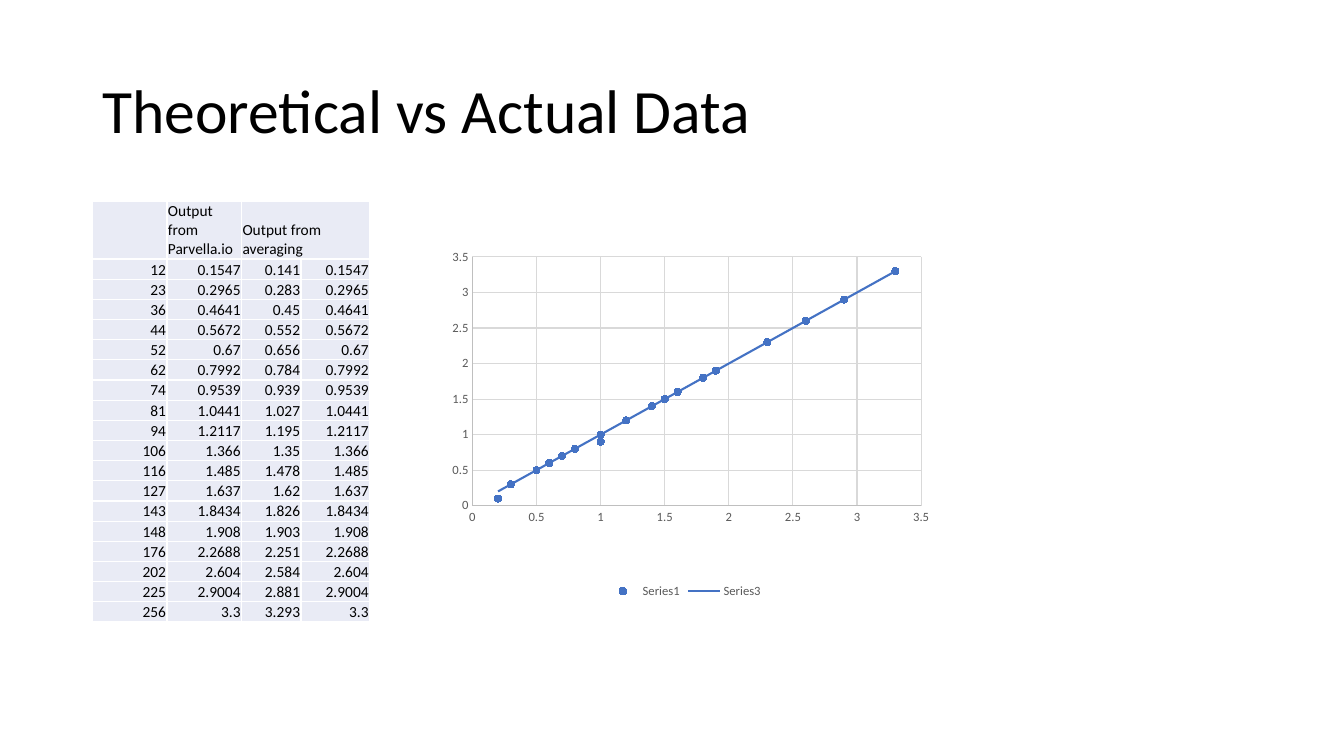
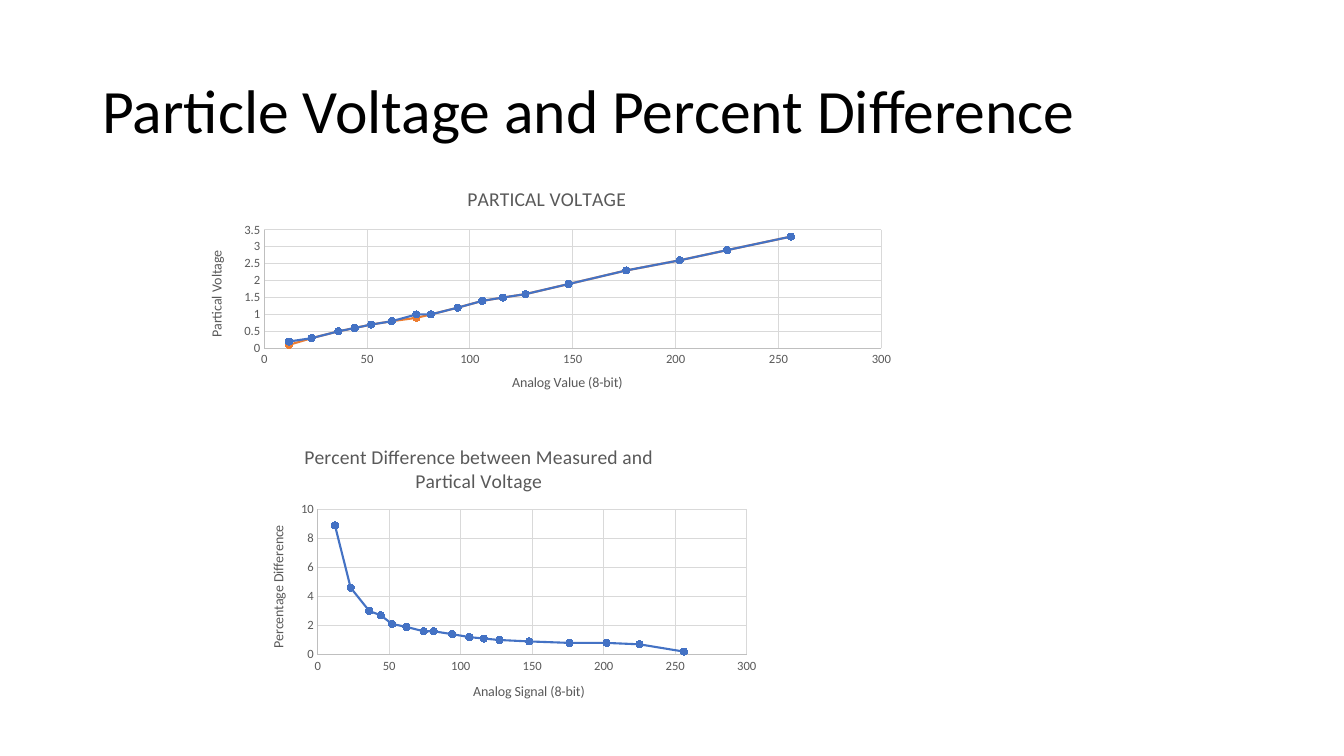
from dataclasses import dataclass

from lxml.etree import SubElement
from pptx import Presentation
from pptx.chart.data import XyChartData
from pptx.dml.color import RGBColor
from pptx.enum.chart import XL_CHART_TYPE as ChartType
from pptx.enum.chart import XL_LEGEND_POSITION as LegendPosition
from pptx.enum.chart import XL_MARKER_STYLE as Marker
from pptx.enum.chart import XL_TICK_MARK as TickMark
from pptx.enum.text import MSO_ANCHOR as Anchor
from pptx.enum.text import PP_ALIGN as Align
from pptx.oxml import parse_xml
from pptx.oxml.ns import nsdecls, qn
from pptx.util import Pt


@dataclass(frozen=True)
class Theme:
    font: str = "Calibri"
    text: str = "000000"
    muted: str = "595959"
    axis: str = "BFBFBF"
    grid: str = "D9D9D9"
    blue: str = "4472C4"
    orange: str = "ED7D31"
    cell: str = "E9EBF5"
    border: str = "FFFFFF"
    title_size: float = 44
    chart_title_size: float = 14
    table_size: float = 11
    axis_title_size: float = 10
    tick_size: float = 9


THEME = Theme()

# Content: analog value, direct output, averaged output
READINGS = [
    (12, 0.1547, 0.141), (23, 0.2965, 0.283), (36, 0.4641, 0.45),
    (44, 0.5672, 0.552), (52, 0.67, 0.656), (62, 0.7992, 0.784),
    (74, 0.9539, 0.939), (81, 1.0441, 1.027), (94, 1.2117, 1.195),
    (106, 1.366, 1.35), (116, 1.485, 1.478), (127, 1.637, 1.62),
    (143, 1.8434, 1.826), (148, 1.908, 1.903), (176, 2.2688, 2.251),
    (202, 2.604, 2.584), (225, 2.9004, 2.881), (256, 3.3, 3.293),
]
PLOTTED = [reading for reading in READINGS if reading[0] != 143]
PERCENT_DIFFERENCE = [8.9, 4.6, 3, 2.7, 2.1, 1.9, 1.6, 1.6, 1.4,
                      1.2, 1.1, 1, 0.9, 0.8, 0.8, 0.7, 0.2]
HEADINGS = ["", "Output from Parvella.io", "Output from averaging", ""]

# Table geometry
TABLE_LEFT, TABLE_TOP = 66, 143.6
COLUMN_WIDTHS = [53.3, 53.3, 42.5, 49]
HEADING_HEIGHT, ROW_HEIGHT = 39.6, 14.4

# Series: name, points, line colour, marker colour
# Axes: maximum, major unit; plot and title places: percent of the chart
COMPARISON = {
    "box": (307.4, 176.2, 362.2, 254.2),
    "type": ChartType.XY_SCATTER,
    "plot": (8.3, 2.9, 88.5, 69.9),
    "axes": [(3.5, 0.5), (3.5, 0.5)],
    "legend": True,
    "series": [
        ("Series1", [(v, avg) for _, v, avg in READINGS], None, THEME.blue),
        ("Series3", [(v, v) for _, v, _ in READINGS], THEME.blue, None),
    ],
}
VOLTAGE = {
    "box": (133.9, 122.4, 512.6, 172.1),
    "type": ChartType.XY_SCATTER_LINES,
    "plot": (10.7, 24.3, 86, 49.2),
    "axes": [(300, 50), (3.5, 0.5)],
    "title": ("PARTICAL VOLTAGE", 38.5, 4.3),
    "axis_titles": [("Analog Value (8-bit)", 44.9, 82.9),
                    ("Partical Voltage", 2.4, 31.8)],
    "series": [
        ("Series 1", [(a, v) for a, v, _ in PLOTTED], THEME.blue, THEME.blue),
        ("Series 2", [(a, avg) for a, _, avg in PLOTTED],
         THEME.orange, THEME.orange),
    ],
}
DIFFERENCE = {
    "box": (177.8, 304.6, 370.1, 209.5),
    "type": ChartType.XY_SCATTER_LINES,
    "plot": (13.3, 28.3, 82.8, 49.5),
    "axes": [(300, 50), (10, 2)],
    "title": ("Percent Difference between Measured and Partical Voltage",
              10, 4.5),
    "axis_titles": [("Analog Signal (8-bit)", 42.8, 86.3),
                    ("Percentage Difference", 3.4, 32.8)],
    "series": [
        ("Series 1",
         [(r[0], diff) for r, diff in zip(PLOTTED, PERCENT_DIFFERENCE)],
         THEME.blue, THEME.blue),
    ],
}
SLIDES = [
    ("Theoretical vs Actual Data", True, [COMPARISON]),
    ("Particle Voltage and Percent Difference", False, [VOLTAGE, DIFFERENCE]),
]


def rgb(colour):
    return RGBColor.from_string(colour)


def set_font(font, size, colour):
    font.name, font.size, font.bold = THEME.font, Pt(size), False
    font.color.rgb = rgb(colour)


def set_line(line, colour, width):
    if colour is None:
        line.fill.background()
    else:
        line.color.rgb = rgb(colour)
        line.width = Pt(width)


def add_text(frame, text, size, colour, align=None):
    paragraph = frame.paragraphs[0]
    paragraph.alignment = align
    run = paragraph.add_run()
    run.text = text
    set_font(run.font, size, colour)
    return paragraph


# Chart parts
def place(element, index, percents, target=None):
    """Give a chart part a manual layout in percent of the chart."""
    for old in element.findall(qn("c:layout")):
        element.remove(old)
    layout = parse_xml(f"<c:layout {nsdecls('c')}/>")
    element.insert(index, layout)
    manual = SubElement(layout, qn("c:manualLayout"))
    settings = [("layoutTarget", target)] if target else []
    settings += [("xMode", "edge"), ("yMode", "edge")]
    settings += [(side, percent / 100) for side, percent in zip("xywh", percents)]
    for tag, value in settings:
        SubElement(manual, qn(f"c:{tag}")).set("val", str(value))


def add_chart_text(title, content, size, rotated=False):
    text, *corner = content
    frame = title.text_frame
    add_text(frame, text, size, THEME.muted)
    if rotated:
        body = frame._txBody.bodyPr
        body.set("rot", "-5400000")
        body.set("vert", "horz")
    place(title._element, 1, corner)


def style_axis(axis, maximum, unit):
    axis.minimum_scale, axis.maximum_scale, axis.major_unit = 0, maximum, unit
    axis.major_tick_mark = axis.minor_tick_mark = TickMark.NONE
    axis.has_major_gridlines = True
    set_line(axis.major_gridlines.format.line, THEME.grid, 0.75)
    set_line(axis.format.line, THEME.axis, 0.75)
    set_font(axis.tick_labels.font, THEME.tick_size, THEME.muted)


def style_series(series, line_colour, marker_colour):
    set_line(series.format.line, line_colour, 1.5)
    marker = series.marker
    if marker_colour is None:
        marker.style = Marker.NONE
        return
    marker.style, marker.size = Marker.CIRCLE, 5
    marker.format.fill.solid()
    marker.format.fill.fore_color.rgb = rgb(marker_colour)
    set_line(marker.format.line, marker_colour, 0.75)


def add_scatter(slide, content):
    data = XyChartData()
    for name, points, *_ in content["series"]:
        series = data.add_series(name)
        for x, y in points:
            series.add_data_point(round(x, 1), round(y, 1))
    box = [Pt(length) for length in content["box"]]
    chart = slide.shapes.add_chart(content["type"], *box, data).chart
    set_font(chart.font, THEME.axis_title_size, THEME.text)
    plot = chart.plots[0]
    plot.vary_by_categories = False
    for series, (_, _, *colours) in zip(plot.series, content["series"]):
        style_series(series, *colours)

    axes = [chart.category_axis, chart.value_axis]
    for axis, scale in zip(axes, content["axes"]):
        style_axis(axis, *scale)
    for axis, title in zip(axes, content.get("axis_titles", [])):
        add_chart_text(axis.axis_title, title, THEME.axis_title_size,
                       rotated=axis is axes[1])
    chart.has_title = "title" in content
    if chart.has_title:
        add_chart_text(chart.chart_title, content["title"],
                       THEME.chart_title_size)
    chart.has_legend = content.get("legend", False)
    if chart.has_legend:
        chart.legend.position = LegendPosition.BOTTOM
        chart.legend.include_in_layout = False
        set_font(chart.legend.font, THEME.tick_size, THEME.muted)
    place(chart._chartSpace.chart.plotArea, 0, content["plot"], "inner")


# Table
def style_cell(cell):
    cell.margin_left = cell.margin_right = cell.margin_top = Pt(0.7)
    cell.margin_bottom = 0
    cell.vertical_anchor = Anchor.BOTTOM
    cell.fill.solid()
    cell.fill.fore_color.rgb = rgb(THEME.cell)
    properties = cell._tc.get_or_add_tcPr()
    for index, side in enumerate("LRTB"):
        properties.insert(index, parse_xml(
            f'<a:ln{side} {nsdecls("a")} w="12700"><a:solidFill>'
            f'<a:srgbClr val="{THEME.border}"/></a:solidFill></a:ln{side}>'))


def add_readings(slide):
    rows = [HEADINGS] + [(a, v, avg, v) for a, v, avg in READINGS]
    heights = [HEADING_HEIGHT] + [ROW_HEIGHT] * len(READINGS)
    table = slide.shapes.add_table(
        len(rows), len(COLUMN_WIDTHS), Pt(TABLE_LEFT), Pt(TABLE_TOP),
        Pt(sum(COLUMN_WIDTHS)), Pt(sum(heights))).table
    table.first_row = table.horz_banding = False
    for column, width in zip(table.columns, COLUMN_WIDTHS):
        column.width = Pt(width)
    for r, (values, height) in enumerate(zip(rows, heights)):
        table.rows[r].height = Pt(height)
        for c, value in enumerate(values):
            cell = table.cell(r, c)
            style_cell(cell)
            if value != "":
                add_text(cell.text_frame, str(value), THEME.table_size,
                         THEME.text, Align.RIGHT if r else Align.LEFT)
    table.cell(0, 2).merge(table.cell(0, 3))


def add_title(slide, text):
    title = slide.shapes.title
    title.left, title.top, title.width, title.height = (
        Pt(66), Pt(28.8), Pt(828), Pt(104.4))
    title.text_frame.vertical_anchor = Anchor.MIDDLE
    paragraph = add_text(title.text_frame, text, THEME.title_size,
                         THEME.text, Align.LEFT)
    paragraph.line_spacing = 0.9


def main():
    deck = Presentation()
    deck.slide_width, deck.slide_height = Pt(960), Pt(540)
    title_only = deck.slide_layouts[5]
    for title, has_readings, charts in SLIDES:
        slide = deck.slides.add_slide(title_only)
        add_title(slide, title)
        for chart in charts:
            add_scatter(slide, chart)
        if has_readings:
            add_readings(slide)
    deck.save("out.pptx")


if __name__ == "__main__":
    main()
